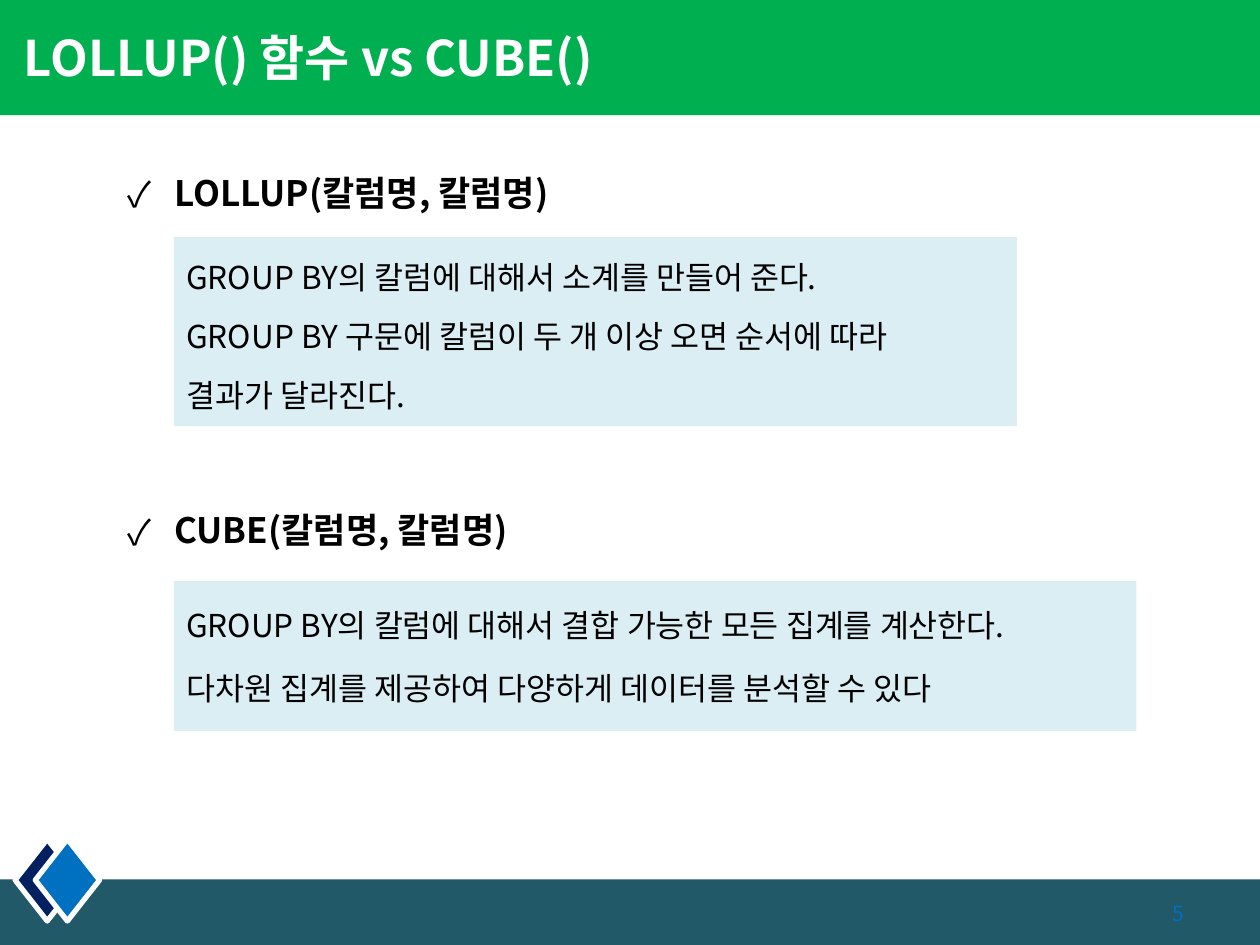
from lxml.etree import SubElement
from pptx import Presentation
from pptx.dml.color import RGBColor
from pptx.enum.shapes import MSO_SHAPE
from pptx.enum.text import MSO_ANCHOR, PP_ALIGN
from pptx.oxml.ns import qn
from pptx.util import Inches, Pt

THEME = {
    "font": "Noto Sans CJK KR",
    "green": "00B050", "teal": "215968", "panel": "DBEEF4",
    "navy": "002060", "blue": "0070C0", "white": "FFFFFF", "black": "000000",
    "title": 28, "heading": 20, "body": 18, "number": 12,
}
TITLE = "LOLLUP() 함수 vs CUBE()"
PAGE_NUMBER = "5"
BANDS = [((0, 6.98, 10, 0.52), "teal"), ((0, 0, 10, 0.915), "green")]
DIAMONDS = [((0.12, 6.66, 0.51, 0.65), "navy"), ((0.28, 6.66, 0.51, 0.65), "blue")]
SECTIONS = [
    {
        "heading": "LOLLUP(칼럼명, 칼럼명)",
        "heading_top": 1.31,
        "panel": (1.38, 1.88, 6.69, 1.5),
        "line_spacing": 1.4,
        "lines": [
            "GROUP BY의 칼럼에 대해서 소계를 만들어 준다.",
            "GROUP BY 구문에 칼럼이 두 개 이상 오면 순서에 따라",
            "결과가 달라진다.",
        ],
    },
    {
        "heading": "CUBE(칼럼명, 칼럼명)",
        "heading_top": 3.99,
        "panel": (1.38, 4.61, 7.64, 1.19),
        "line_spacing": 1.5,
        "lines": [
            "GROUP BY의 칼럼에 대해서 결합 가능한 모든 집계를 계산한다.",
            "다차원 집계를 제공하여 다양하게 데이터를 분석할 수 있다",
        ],
    },
]


def color(name):
    return RGBColor.from_string(THEME[name])


def add_block(slide, kind, box, fill, outline=None):
    block = slide.shapes.add_shape(kind, *map(Inches, box))
    block.shadow.inherit = False
    block.fill.solid()
    block.fill.fore_color.rgb = color(fill)
    if outline:
        block.line.color.rgb = color(outline)
        block.line.width = Pt(3)
    else:
        block.line.fill.background()
    return block


def write(shape, lines, size, ink, bold=False, frame_format=None, **paragraph_format):
    frame = shape.text_frame
    settings = {"word_wrap": True, "vertical_anchor": MSO_ANCHOR.TOP} | (frame_format or {})
    for name, value in settings.items():
        setattr(frame, name, value)
    frame.text = "\n".join(lines)
    for paragraph in frame.paragraphs:
        for name, value in ({"alignment": PP_ALIGN.LEFT} | paragraph_format).items():
            setattr(paragraph, name, value)
        font = paragraph.runs[0].font
        font_format = {"name": THEME["font"], "size": Pt(THEME[size]), "bold": bold}
        for name, value in font_format.items():
            setattr(font, name, value)
        font.color.rgb = color(ink)
        properties = font._element
        properties.set("kern", "0")
        SubElement(properties, qn("a:ea"), typeface=THEME["font"])


def add_check_bullet(paragraph):
    properties = paragraph._p.get_or_add_pPr()
    properties.set("marL", str(Inches(0.375)))
    properties.set("indent", str(-Inches(0.375)))
    SubElement(properties, qn("a:buFont"), typeface=THEME["font"])
    SubElement(properties, qn("a:buChar"), char="✓")


def add_text(slide, box, *content, **formats):
    text = slide.shapes.add_textbox(*map(Inches, box))
    write(text, *content, **formats)
    return text


def main():
    deck = Presentation()
    deck.slide_width, deck.slide_height = Inches(10), Inches(7.5)
    slide = deck.slides.add_slide(deck.slide_layouts[6])

    for box, fill in BANDS:
        add_block(slide, MSO_SHAPE.RECTANGLE, box, fill)
    for box, fill in DIAMONDS:
        add_block(slide, MSO_SHAPE.DIAMOND, box, fill, "white")

    middle = {"vertical_anchor": MSO_ANCHOR.MIDDLE}
    add_text(slide, (0, -0.02, 6.26, 0.94), [TITLE], "title", "white", bold=True,
             frame_format=middle | {"margin_left": Inches(0.19)})
    add_text(slide, (8.5, 7.05, 1, 0.4), [PAGE_NUMBER], "number", "blue",
             frame_format=middle, alignment=PP_ALIGN.RIGHT)

    for section in SECTIONS:
        heading = add_text(slide, (0.91, section["heading_top"], 5.91, 0.44),
                           [section["heading"]], "heading", "black", bold=True)
        add_check_bullet(heading.text_frame.paragraphs[0])
        panel = add_block(slide, MSO_SHAPE.RECTANGLE, section["panel"], "panel")
        write(panel, section["lines"], "body", "black",
              line_spacing=section["line_spacing"], space_before=Pt(3.6))

    deck.save("out.pptx")


if __name__ == "__main__":
    main()
